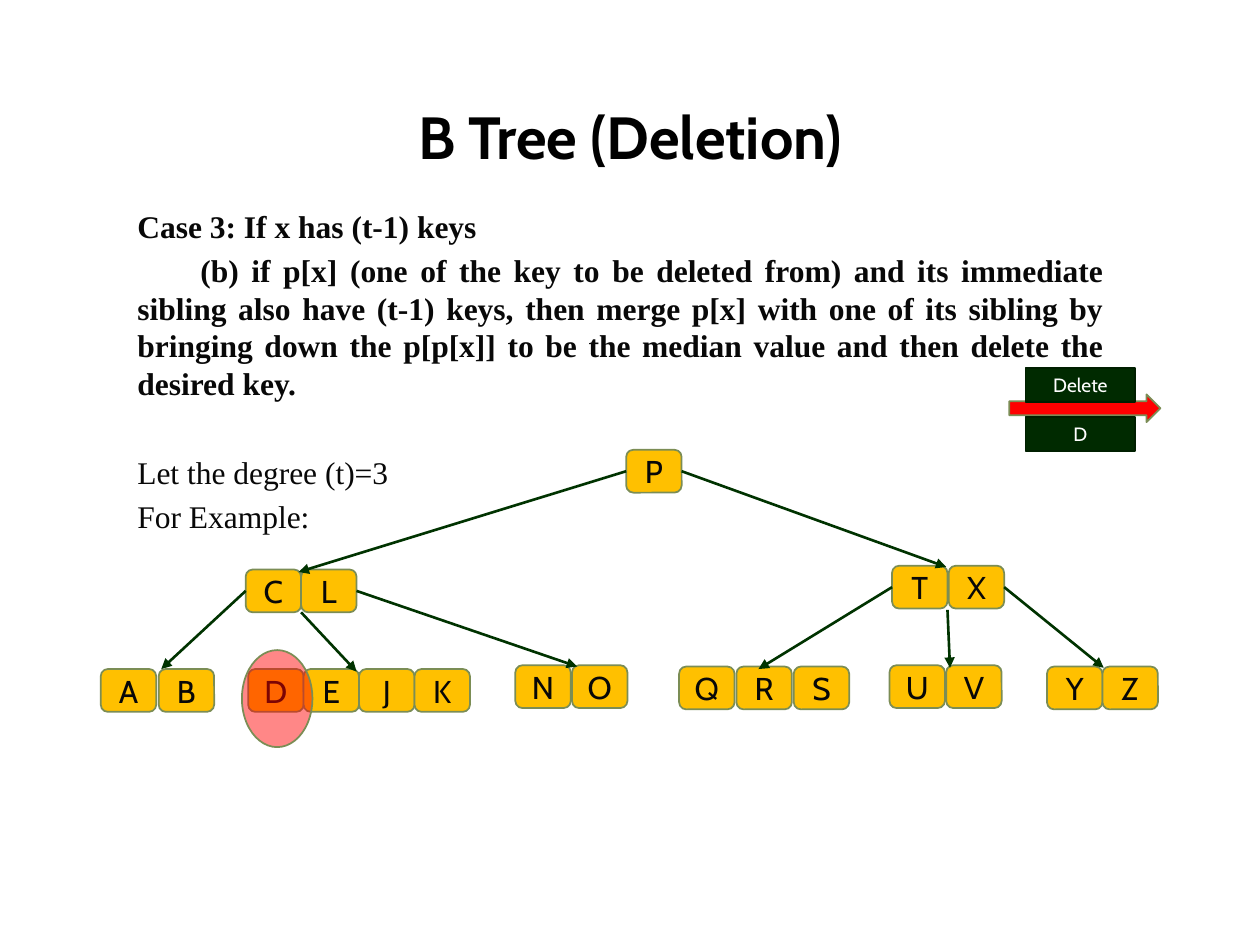
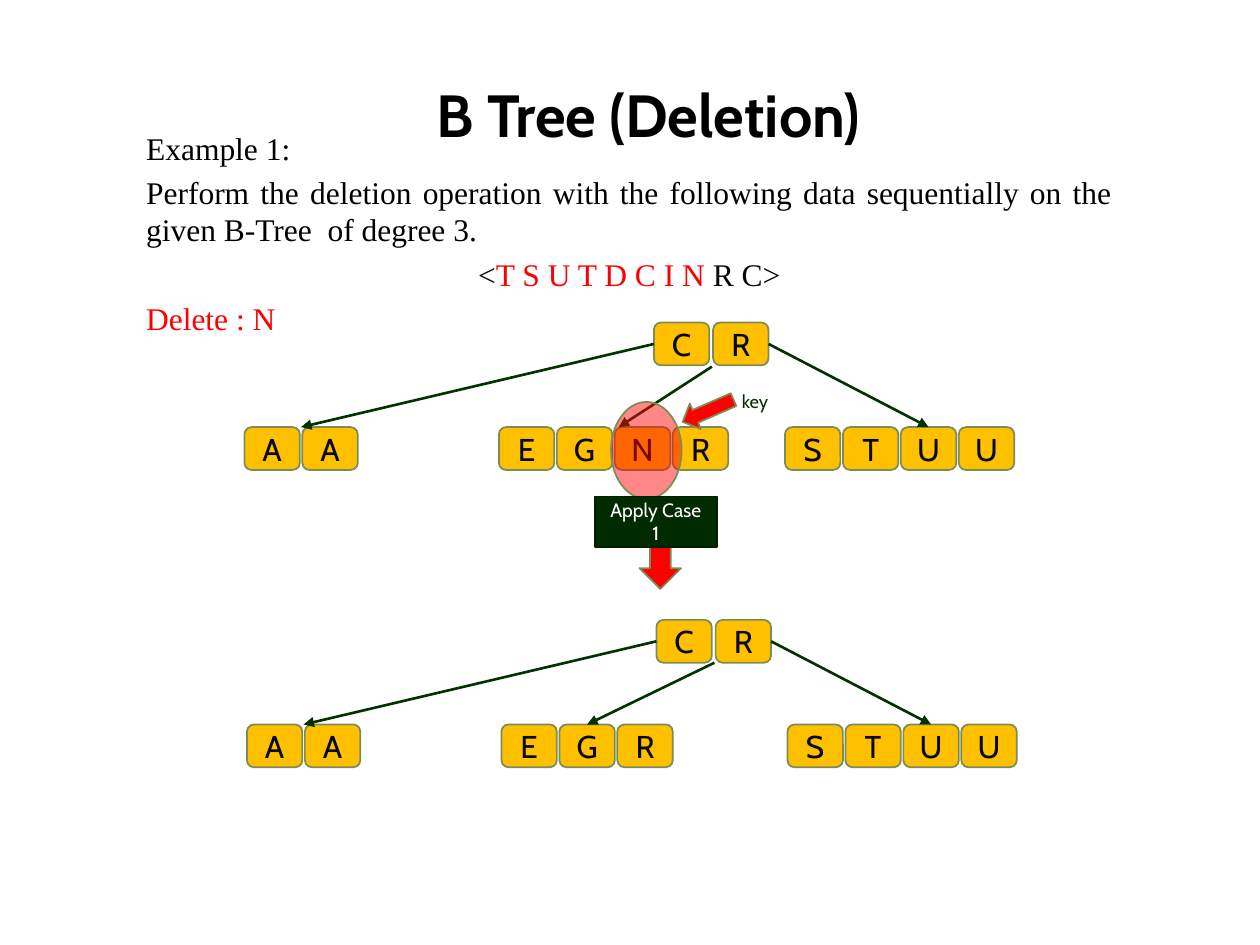
import pptx
import pptx.util
import pptx.dml.color
import pptx.enum.shapes
import pptx.enum.text
import pptx.oxml
import pptx.oxml.ns
import lxml.etree

Inches = pptx.util.Inches
Pt = pptx.util.Pt
SHAPE = pptx.enum.shapes.MSO_SHAPE
ALIGN = pptx.enum.text.PP_ALIGN
ANCHOR = pptx.enum.text.MSO_ANCHOR

COLORS = {
    "title": "000000", "ink": "080808", "key": "FFC000", "outline": "7B8D55",
    "link": "003300", "box": "002A00", "box_line": "001F00",
    "red": "FF0000", "white": "FFFFFF",
}
HEADING_FONT = "Cabin"
BODY_FONT = "Times New Roman"
KEY_WIDTH, KEY_HEIGHT = 0.44, 0.34
LEFT, TOP, RIGHT = 1, 0, 3


def add_xml(parent, tag, **attributes):
    element = lxml.etree.SubElement(parent, pptx.oxml.ns.qn(tag))
    for name, value in attributes.items():
        element.set(name, value)
    return element


class Deck:
    def __init__(self):
        self.presentation = pptx.Presentation()
        self.presentation.slide_width = Inches(10)
        self.presentation.slide_height = Inches(7.5)
        self.slide = None

    def color(self, name):
        return pptx.dml.color.RGBColor.from_string(COLORS[name])

    def place(self, shape, left, top, width, height):
        shape.left, shape.top = Inches(left), Inches(top)
        shape.width, shape.height = Inches(width), Inches(height)

    def format_runs(self, paragraph, font, size, color, bold=False):
        for run in paragraph.runs:
            run.font.name = font
            run.font.size = Pt(size)
            run.font.bold = bold
            run.font.color.rgb = self.color(color)

    def add_slide(self, title, left, top):
        self.slide = self.presentation.slides.add_slide(self.presentation.slide_layouts[1])
        shape = self.slide.shapes.title
        self.place(shape, left, top, 9, 0.79)
        frame = shape.text_frame
        frame.text = title
        frame.auto_size = pptx.enum.text.MSO_AUTO_SIZE.NONE
        frame.vertical_anchor = ANCHOR.MIDDLE
        frame.paragraphs[0].alignment = ALIGN.CENTER
        self.format_runs(frame.paragraphs[0], HEADING_FONT, 34, "title", True)

    def body(self, lines, left, top, height):
        shape = self.slide.placeholders[1]
        self.place(shape, left, top, 7.87, height)
        frame = shape.text_frame
        frame.text = "\n".join(lines)
        frame.auto_size = pptx.enum.text.MSO_AUTO_SIZE.NONE
        for paragraph in frame.paragraphs:
            paragraph.alignment = ALIGN.JUSTIFY
            paragraph.space_before = Pt(3.6)
            properties = paragraph._p.get_or_add_pPr()
            properties.set("marL", "0")
            properties.set("indent", "0")
            add_xml(properties, "a:buNone")
            self.format_runs(paragraph, BODY_FONT, 18, "ink")
        return frame.paragraphs

    def shape(self, kind, left, top, width, height, fill, line="outline", rotation=0):
        shape = self.slide.shapes.add_shape(
            kind, Inches(left), Inches(top), Inches(width), Inches(height))
        shape.shadow.inherit = False
        shape.rotation = rotation
        shape.fill.solid()
        shape.fill.fore_color.rgb = self.color(fill)
        shape.line.color.rgb = self.color(line)
        shape.line.width = Pt(1)
        return shape

    def label(self, shape, text, size, color, wrap=True):
        frame = shape.text_frame
        frame.text = text
        frame.word_wrap = wrap
        frame.vertical_anchor = ANCHOR.MIDDLE
        frame.paragraphs[0].alignment = ALIGN.CENTER
        self.format_runs(frame.paragraphs[0], HEADING_FONT, size, color)

    def box(self, text, left, top, width, height):
        shape = self.shape(SHAPE.RECTANGLE, left, top, width, height, "box", "box_line")
        self.label(shape, text, 11, "white")

    def caption(self, text, left, top, width, height):
        shape = self.slide.shapes.add_textbox(
            Inches(left), Inches(top), Inches(width), Inches(height))
        shape.text_frame.word_wrap = True
        shape.text_frame.text = text
        self.format_runs(shape.text_frame.paragraphs[0], HEADING_FONT, 10.5, "link")

    def node(self, keys, left, top, pitch=KEY_WIDTH):
        shapes = []
        for index, key in enumerate(keys):
            shape = self.shape(SHAPE.ROUNDED_RECTANGLE, left + index * pitch, top,
                               KEY_WIDTH, KEY_HEIGHT, "key")
            self.label(shape, key, 18, "ink", wrap=False)
            shapes.append(shape)
        return shapes

    def arrow(self, start, end):
        connector = self.slide.shapes.add_connector(
            pptx.enum.shapes.MSO_CONNECTOR.STRAIGHT, 0, 0, 0, 0)
        if isinstance(start[0], float):
            connector.begin_x, connector.begin_y = map(Inches, start)
        else:
            connector.begin_connect(*start)
        if isinstance(end[0], float):
            connector.end_x, connector.end_y = map(Inches, end)
        else:
            connector.end_connect(*end)
        connector.line.color.rgb = self.color("link")
        connector.line.width = Pt(1.5)
        add_xml(connector.line._get_or_add_ln(), "a:tailEnd", type="triangle")
        add_xml(connector._element.spPr, "a:effectLst")

    def highlight(self, left, top):
        shape = self.shape(SHAPE.OVAL, left, top, 0.56, 0.77, "red")
        color = shape._element.spPr.find(".//" + pptx.oxml.ns.qn("a:srgbClr"))
        add_xml(color, "a:alpha", val="47000")


def build_merge_case(deck):
    deck.add_slide("B Tree (Deletion)", 0.5, 0.68)
    heading, rule, degree, example = deck.body([
        "Case 3: If x has (t-1) keys",
        "(b) if p[x] (one of the key to be deleted from) and its immediate sibling "
        "also have (t-1) keys, then merge p[x] with one of its sibling by bringing "
        "down the p[p[x]] to be the median value and then delete the desired key.",
        "Let the degree (t)=3",
        "For Example:",
    ], 0.99, 1.59, 4.74)
    for paragraph in (heading, rule):
        deck.format_runs(paragraph, BODY_FONT, 18, "ink", True)
    rule._p.pPr.set("indent", str(Inches(0.5)))
    degree.space_before = Pt(29)

    deck.shape(SHAPE.RIGHT_ARROW, 8.01, 3.13, 1.2, 0.22, "red")
    for text, top in (("Delete", 2.92), ("D", 3.31)):
        deck.box(text, 8.14, top, 0.87, 0.27)

    root = deck.node("P", 4.97, 3.57)[0]
    left_node = deck.node("CL", 1.95, 4.52)
    right_node = deck.node("TX", 7.08, 4.49, 0.45)
    for keys, left, top, pitch in (
        ("AB", 0.8, 5.31, 0.46), ("DEJK", 1.97, 5.31, 0.44), ("NO", 4.09, 5.28, 0.45),
        ("QRS", 5.39, 5.29, 0.455), ("UV", 7.06, 5.28, 0.45), ("YZ", 8.31, 5.29, 0.44),
    ):
        deck.node(keys, left, top, pitch)

    for start, end in (
        ((root, LEFT), (2.37, 4.54)),
        ((root, RIGHT), (7.51, 4.5)),
        ((left_node[0], LEFT), (1.28, 5.31)),
        ((2.39, 4.86), (2.83, 5.33)),
        ((left_node[-1], RIGHT), (4.58, 5.29)),
        ((right_node[0], LEFT), (6.02, 5.31)),
        ((7.52, 4.84), (7.54, 5.3)),
        ((right_node[-1], RIGHT), (8.76, 5.3)),
    ):
        deck.arrow(start, end)
    deck.highlight(1.92, 5.16)


def add_tree(deck, shift, top, middle_keys):
    leaf_top = top + 0.83
    root = deck.node("CR", 5.19 + shift, top, 0.47)
    deck.node("AA", 1.94 + shift, leaf_top, 0.46)
    middle = deck.node(middle_keys, 3.96 + shift, leaf_top, 0.46)
    right = deck.node("STUU", 6.23 + shift, leaf_top, 0.46)
    deck.arrow((root[0], LEFT), (2.39 + shift, leaf_top))
    deck.arrow((root[-1], RIGHT), (right[2], TOP))
    return middle


def build_example(deck):
    deck.add_slide("B Tree (Deletion)", 0.65, 0.51)
    paragraphs = deck.body([
        "Example 1:",
        "Perform the deletion operation with the following data sequentially on the "
        "given B-Tree  of degree 3.",
        "<",
        "Delete : N",
    ], 1.06, 0.97, 1.86)
    sequence, deletion = paragraphs[2:]
    for paragraph in paragraphs[:2]:
        deck.format_runs(paragraph, BODY_FONT, 18, "title")
    for text in ("T S U T D C I N", " R C>"):
        sequence.add_run().text = text
    deck.format_runs(sequence, BODY_FONT, 18, "ink")
    sequence.runs[1].font.color.rgb = deck.color("red")
    sequence.alignment = ALIGN.CENTER
    deck.format_runs(deletion, BODY_FONT, 18, "red")
    deletion.alignment = ALIGN.LEFT

    add_tree(deck, 0, 2.56, "EGNR")
    deck.arrow((5.65, 2.91), (4.91, 3.39))
    deck.highlight(4.85, 3.19)
    deck.shape(SHAPE.LEFT_ARROW, 5.4, 3.15, 0.44, 0.22, "red", rotation=336.4)
    deck.caption("key", 5.79, 3.05, 0.46, 0.28)

    deck.shape(SHAPE.RIGHT_ARROW, 5.04, 4.31, 0.4, 0.33, "red", rotation=90)
    deck.box("Apply Case 1", 4.72, 3.94, 0.97, 0.4)

    middle = add_tree(deck, 0.02, 4.92, "EGR")
    deck.arrow((5.67, 5.26), (middle[1], TOP))


def main():
    deck = Deck()
    build_merge_case(deck)
    build_example(deck)
    deck.presentation.save("out.pptx")


if __name__ == "__main__":
    main()
